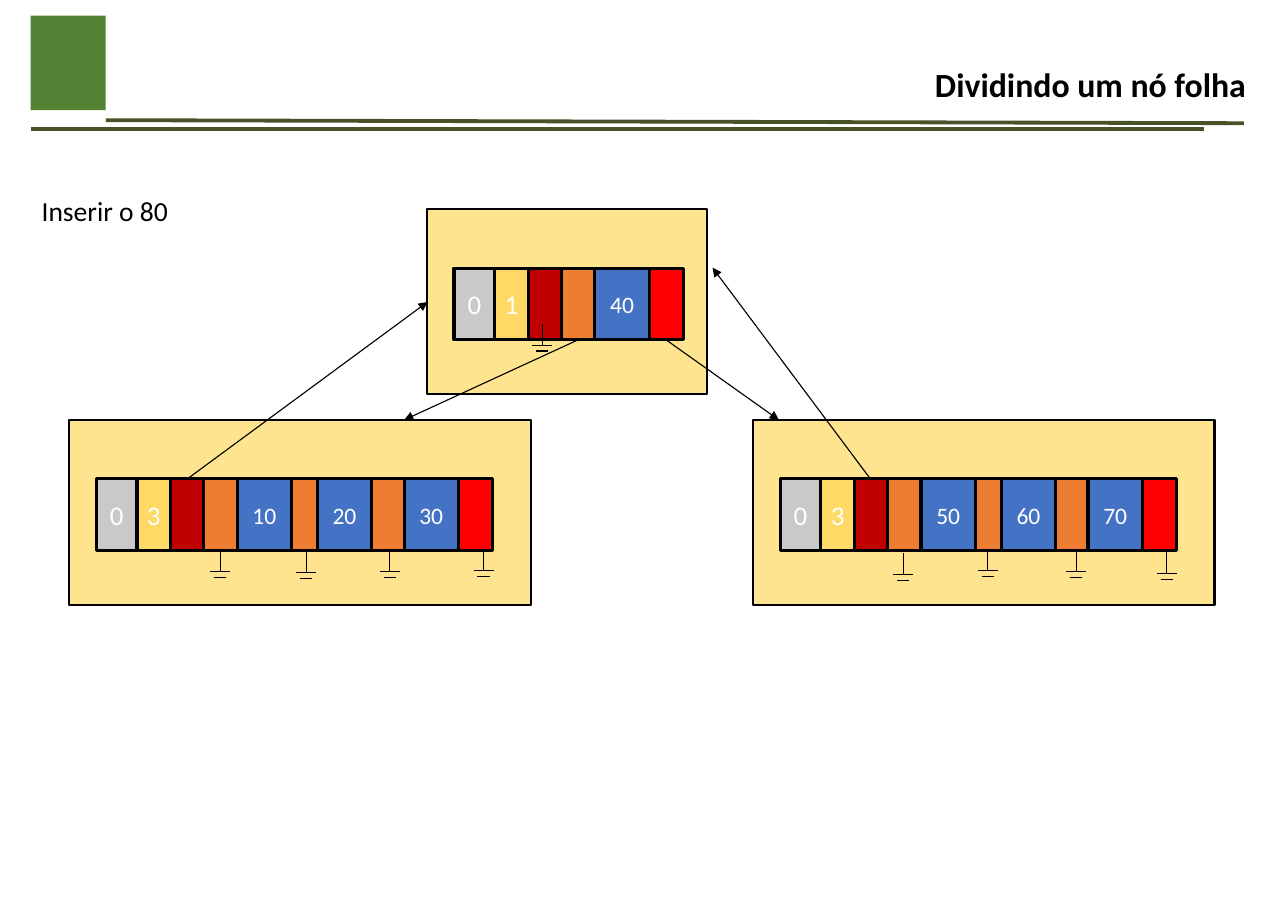
from lxml import etree
from pptx import Presentation
from pptx.dml.color import RGBColor
from pptx.enum.shapes import MSO_CONNECTOR as Link, MSO_SHAPE as Form
from pptx.enum.text import MSO_ANCHOR as Anchor, MSO_AUTO_SIZE as Fit, PP_ALIGN as Align
from pptx.oxml.ns import qn
from pptx.util import Cm, Pt

WHITE, BLACK, GREEN, OLIVE = "FFFFFF", "000000", "548235", "485228"
SAND, GRAY, GOLD, WINE = "FFE48F", "C9C9C9", "FFD966", "C00000"
ORANGE, BLUE, RED = "ED7D31", "4472C4", "FF0000"
INSET, DROP, TALL = 0.62, 1.36, 1.65  # cell row inside its node
FLAG, STEP, KEY, LAST = 0.94, 0.77, 1.25, 0.79  # cell widths
SLOTS = (0.77, 0.6, 0.75)  # widths of the pointers before each key


def color(code):
    return RGBColor.from_string(code)


def write(frame, text, size=18, ink=BLACK, bold=False, align=Align.LEFT,
          anchor=Anchor.MIDDLE, pads=(0, 0, 0, 0)):
    frame.auto_size = Fit.NONE
    frame.word_wrap = True
    frame.vertical_anchor = anchor
    (frame.margin_left, frame.margin_top,
     frame.margin_right, frame.margin_bottom) = map(Cm, pads)
    frame.text = text
    para = frame.paragraphs[0]
    props = para._p.get_or_add_pPr()
    props.set("marL", "0")
    props.set("indent", "0")
    etree.SubElement(props, qn("a:buNone"))
    para.alignment = align
    para.space_before = Pt(0)
    font = para.runs[0].font
    font.name, font.size, font.bold = "Calibri", Pt(size), bold
    font.color.rgb = color(ink)


class Deck:
    def __init__(self):
        self.show = Presentation()
        self.show.slide_width, self.show.slide_height = Cm(29.7), Cm(21)
        self.slide = self.show.slides.add_slide(self.show.slide_layouts[1])
        self.shapes = self.slide.shapes

    def holder(self, index, box, text, **style):
        item = self.slide.placeholders[index]
        item.left, item.top, item.width, item.height = map(Cm, box)
        write(item.text_frame, text, **style)

    def rect(self, x, y, wide, high, fill, width=0, text="", size=15.4):
        item = self.shapes.add_shape(Form.RECTANGLE, *map(Cm, (x, y, wide, high)))
        item.shadow.inherit = False
        item.fill.solid()
        item.fill.fore_color.rgb = color(fill)
        if width:
            item.line.color.rgb = color(BLACK)
            item.line.width = Pt(width)
        else:
            item.line.fill.background()
        if text:
            write(item.text_frame, text, size=size, ink=WHITE, align=Align.CENTER)

    def line(self, x1, y1, x2, y2, width=0.75, ink=BLACK, arrow=False, host=None):
        item = (host or self.shapes).add_connector(
            Link.STRAIGHT, *map(Cm, (x1, y1, x2, y2)))
        item.line.width = Pt(width)
        item.line.color.rgb = color(ink)
        if arrow:
            etree.SubElement(item.line._get_or_add_ln(), qn("a:tailEnd"), type="triangle")
        etree.SubElement(item._element.spPr, qn("a:effectLst"))

    def ground(self, x, y):
        host = self.shapes.add_group_shape().shapes
        self.line(x, y, x, y + 0.5, host=host)
        for half, down in ((0.23, 0.5), (0.14, 0.63)):
            self.line(x - half, y + down, x + half, y + down, host=host)

    def node(self, x, y, wide, keys):
        self.rect(x, y, wide, 4.27, SAND, 1.5)
        cells = [(FLAG, GRAY, "0", 17.6), (STEP, GOLD, str(len(keys)), 17.6),
                 (STEP, WINE, "", 0)]
        for slot, key in zip(SLOTS, keys):
            cells += [(slot, ORANGE, "", 0), (KEY, BLUE, str(key), 15.4)]
        cells.append((LAST, RED, "", 0))
        left = x + INSET
        for span, fill, text, size in cells:
            self.rect(left, y + DROP, span, TALL, fill, 2, text, size)
            left += span


def main():
    deck = Deck()

    # Header
    deck.rect(0.71, 0.36, 1.73, 2.18, GREEN)
    deck.line(2.44, 2.77, 28.68, 2.84, 2.5, OLIVE)
    deck.line(0.71, 2.97, 27.76, 2.97, 2.5, OLIVE)
    deck.holder(0, (15.37, 1.24, 13.61, 1.37), "Dividindo um nó folha", size=22.1,
                bold=True, align=Align.RIGHT, pads=(0.25, 0.13, 0.25, 0.13))
    deck.holder(1, (0.71, 3.58, 28.27, 9.58), "Inserir o 80",
                anchor=Anchor.TOP, pads=(0.25, 0.89, 0.25, 0.13))

    # Leaves with links to the parent
    deck.node(1.6, 9.68, 10.64, (10, 20, 30))
    deck.line(4.32, 11.04, 9.86, 6.96, arrow=True)
    deck.node(17.37, 9.68, 10.64, (50, 60, 70))
    deck.line(20.07, 11.04, 16.43, 6.17, arrow=True)

    # Root with links to the leaves
    deck.node(9.85, 4.82, 6.45, (40,))
    deck.line(15.34, 7.82, 17.96, 9.68, arrow=True)
    deck.line(13.36, 7.82, 9.32, 9.68, arrow=True)

    # Null pointers
    for spot in ((12.5, 7.46),
                 (5.08, 12.68), (7.06, 12.7), (8.99, 12.68), (11.15, 12.65),
                 (20.83, 12.75), (22.78, 12.65), (24.82, 12.68), (26.9, 12.73)):
        deck.ground(*spot)

    deck.show.save("out.pptx")


if __name__ == "__main__":
    main()
